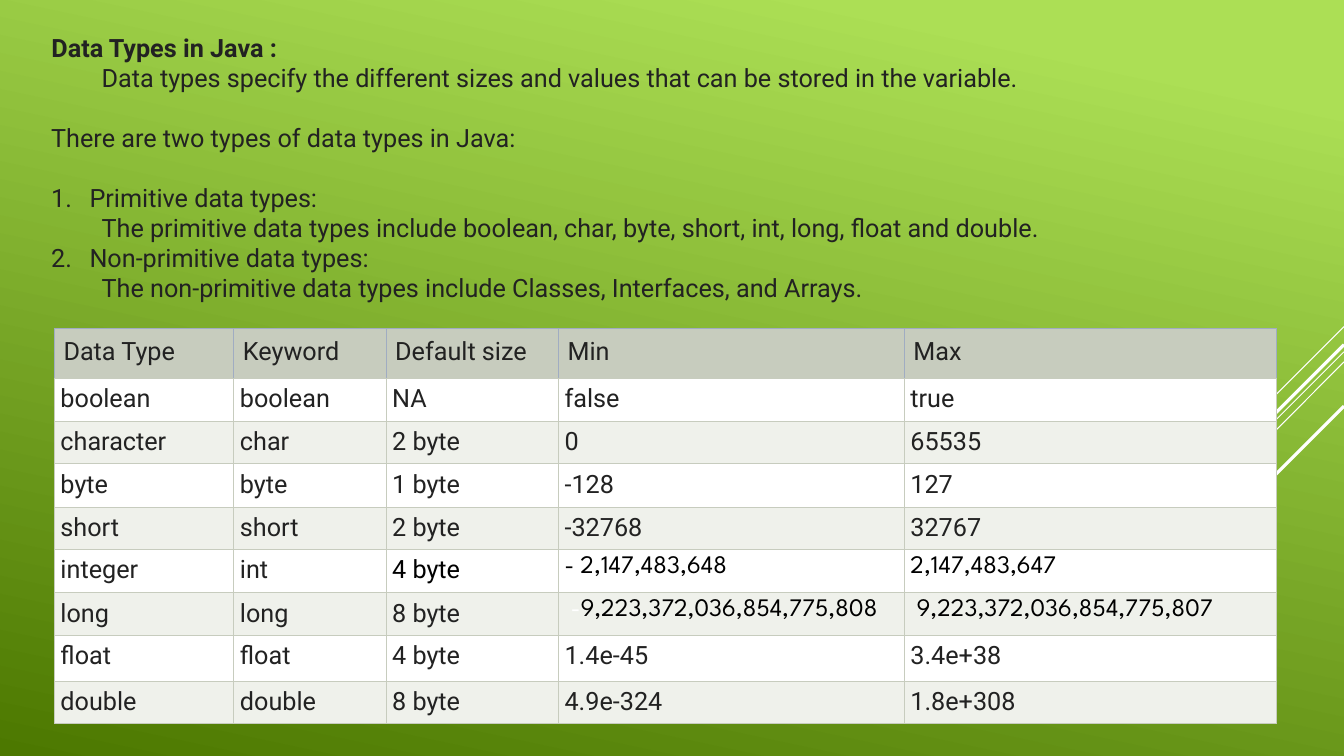
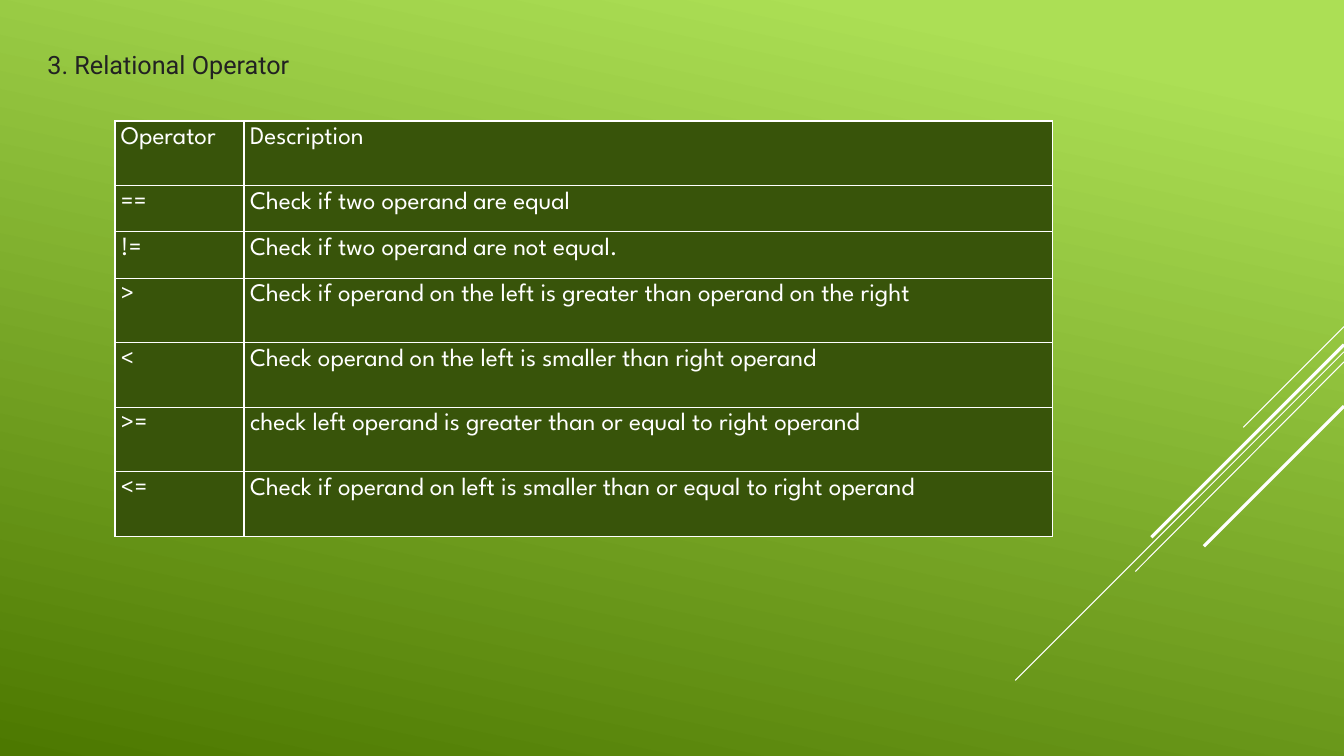
"""Build two slides on Java data types and relational operators."""
from dataclasses import dataclass

from lxml import etree
from pptx import Presentation
from pptx.dml.color import RGBColor
from pptx.enum import text
from pptx.oxml import ns
from pptx.util import Inches, Pt

COLORS = {
    "light": "ACDF55", "dark": "4C7800", "ink": "222222", "black": "000000",
    "white": "FFFFFF", "sage": "C7CCBE", "pale": "EFF1EB", "steel": "A0ACC2",
    "forest": "38540A",
}
BODY_FONT, ACCENT_FONT = "Roboto", "League Spartan"
TEXT_SIZE = 18
BLANK_LINE = 21.1


@dataclass(frozen=True)
class Area:
    left: float
    top: float
    width: float
    height: float

    def lengths(self) -> list:
        return [Inches(n) for n in (self.left, self.top, self.width, self.height)]


@dataclass(frozen=True)
class Ray:
    start_y: float
    end_x: float
    end_y: float
    weight: float = 0.75


@dataclass(frozen=True)
class Span:
    words: str
    color: str = "ink"
    font: str = BODY_FONT


@dataclass(frozen=True)
class Line:
    words: str
    indent: float = 0
    number: int = 0
    gap_before: float = 0


@dataclass(frozen=True)
class RowStyle:
    fill: str
    side: str
    bottom: str
    weight: float = 0.75
    inset: float = 0.06


RAYS = [
    Ray(3.24, 12.33, 4.24), Ray(3.49, 10.07, 6.75), Ray(3.59, 11.26, 5.67),
    Ray(3.42, 11.42, 5.33, 2.25), Ray(4.03, 11.94, 5.42, 2.25),
]
HEADER_ROW = RowStyle("sage", "steel", "sage", inset=0.09)
STRIPES = [RowStyle(fill, "sage", "sage") for fill in ("white", "pale")]
FOREST_ROW = RowStyle("forest", "white", "white", weight=1)

INTRO = [
    Line("Data types specify the different sizes and values that can be stored in the variable.", 0.5),
    Line("There are two types of data types in Java:", gap_before=BLANK_LINE),
    Line("Primitive data types:\u00a0", 0.38, number=1, gap_before=BLANK_LINE),
    Line("The primitive data types include boolean, char, byte, short, int, long, float and double.", 0.5),
    Line("Non-primitive data types:", 0.38, number=2),
    Line("The non-primitive data types include\u00a0Classes,\u00a0Interfaces, and\u00a0Arrays.", 0.5),
]
DATA_TYPES = [
    ["Data Type", "Keyword", "Default size", "Min", "Max"],
    ["boolean", "boolean", "NA", "false", "true"],
    ["character", "char", "2 byte", "0", "65535"],
    ["byte", "byte", "1 byte", "-128", "127"],
    ["short", "short", "2 byte", "-32768", "32767"],
    ["integer", "int", [Span("4 byte", "black")],
     [Span("- 2,147,483,648", "black", ACCENT_FONT)],
     [Span("2,147,483,647", "black", ACCENT_FONT)]],
    ["long", "long", "8 byte",
     [Span("\u00a0-", "white", ACCENT_FONT),
      Span("9,223,372,036,854,775,808", "black", ACCENT_FONT)],
     [Span("\u00a0", "white", ACCENT_FONT),
      Span("9,223,372,036,854,775,807", "black", ACCENT_FONT)]],
    ["float", "float", "4 byte", "1.4e-45", "3.4e+38"],
    ["double", "double", "8 byte", "4.9e-324", "1.8e+308"],
]
OPERATORS = [
    ("Operator", "Description"),
    ("==", "Check if two operand are equal"),
    ("!=", "Check if two operand are not equal."),
    (">", "Check if operand on the left is greater than operand on the right"),
    ("<", "Check operand on the left is smaller than right operand"),
    (">=", "check left operand is greater than or equal to right operand"),
    ("<=", "Check if operand on left is smaller than or equal to right operand"),
]


def rgb(name: str) -> RGBColor:
    """Return a named colour."""
    return RGBColor.from_string(COLORS[name])


def format_run(run, color: str = "ink", font: str = BODY_FONT, bold: bool = False) -> None:
    """Apply the shared text size with a font and colour."""
    run.font.name, run.font.size, run.font.bold = font, Pt(TEXT_SIZE), bold
    run.font.color.rgb = rgb(color)


def paint_background(deck) -> None:
    """Give the slide master its green gradient."""
    fill = deck.slide_master.background.fill
    fill.gradient()
    fill.gradient_angle = 258
    for stop, position, color in zip(fill.gradient_stops, (0.1, 1), ("light", "dark")):
        stop.position = position
        stop.color.rgb = rgb(color)


def draw_ray(page, ray: Ray) -> None:
    """Draw one diagonal line from the right edge."""
    line = page.shapes.add_connector(
        1, Inches(13.33), Inches(ray.start_y), Inches(ray.end_x), Inches(ray.end_y))
    line.line.color.rgb = rgb("white")
    line.line.width = Pt(ray.weight)
    etree.SubElement(line._element.spPr, ns.qn("a:effectLst"))


def add_page(deck, title: str, area: Area, bold: bool = False, spacing: float = 1):
    """Add a titled slide with the diagonal lines."""
    page = deck.slides.add_slide(deck.slide_layouts.get_by_name("Title Only"))
    for ray in RAYS:
        draw_ray(page, ray)
    box = page.shapes.title
    box.left, box.top, box.width, box.height = area.lengths()
    frame = box.text_frame
    frame.text = title
    frame.word_wrap = True
    frame.auto_size = text.MSO_AUTO_SIZE.NONE
    frame.vertical_anchor = text.MSO_ANCHOR.TOP
    para = frame.paragraphs[0]
    para.alignment, para.line_spacing = text.PP_ALIGN.LEFT, spacing
    format_run(para.runs[0], bold=bold)
    return page


def add_lines(page, area: Area, lines: list[Line]) -> None:
    """Add indented and numbered paragraphs in one text box."""
    frame = page.shapes.add_textbox(*area.lengths()).text_frame
    frame.word_wrap = True
    for index, line in enumerate(lines):
        para = frame.add_paragraph() if index else frame.paragraphs[0]
        para.text = line.words
        para.space_before = Pt(line.gap_before)
        format_run(para.runs[0])
        properties = para._p.get_or_add_pPr()
        properties.set("marL", str(Inches(line.indent)))
        if line.number:
            properties.set("indent", str(-Inches(line.indent)))
            etree.SubElement(properties, ns.qn("a:buAutoNum"),
                             type="arabicPeriod", startAt=str(line.number))


def style_cell(cell, style: RowStyle) -> None:
    """Set the borders, fill and insets of a cell."""
    properties = cell._tc.get_or_add_tcPr()
    for edge in "LRTB":
        border = etree.SubElement(properties, ns.qn(f"a:ln{edge}"), w=str(Pt(style.weight)))
        solid = etree.SubElement(border, ns.qn("a:solidFill"))
        color = style.bottom if edge == "B" else style.side
        etree.SubElement(solid, ns.qn("a:srgbClr"), val=COLORS[color])
    cell.fill.solid()
    cell.fill.fore_color.rgb = rgb(style.fill)
    cell.margin_left = cell.margin_right = Inches(style.inset)
    cell.margin_top = cell.margin_bottom = Inches(style.inset)


def add_grid(page, area: Area, widths: list[float], heights: list[float],
             rows: list, styles: list[RowStyle], color: str, font: str) -> None:
    """Add a table whose plain cells share one font and colour."""
    table = page.shapes.add_table(len(rows), len(widths), *area.lengths()).table
    table.first_row = table.horz_banding = False
    for column, width in zip(table.columns, widths):
        column.width = Inches(width)
    for row, height, values, style in zip(table.rows, heights, rows, styles):
        row.height = Inches(height)
        for cell, value in zip(row.cells, values):
            style_cell(cell, style)
            spans = [Span(value, color, font)] if isinstance(value, str) else value
            for span in spans:
                run = cell.text_frame.paragraphs[0].add_run()
                run.text = span.words
                format_run(run, span.color, span.font)


def build_data_types(deck) -> None:
    """Build the slide on data types."""
    page = add_page(deck, "Data Types in Java :", Area(0.41, 0.27, 2.6, 0.4), bold=True)
    add_lines(page, Area(0.41, 0.57, 10.19, 2.83), INTRO)
    add_grid(page, Area(0.54, 3.26, 12.12, 3.92), [1.78, 1.51, 1.71, 3.43, 3.69],
             [0.49] + [0.43, 0.42] * 3 + [0.46, 0.42], DATA_TYPES,
             [HEADER_ROW] + STRIPES * 4, "ink", BODY_FONT)


def build_operators(deck) -> None:
    """Build the slide on relational operators."""
    page = add_page(deck, "3. Relational Operator", Area(0.37, 0.29, 2.67, 0.56), spacing=1.5)
    add_grid(page, Area(1.14, 1.2, 9.3, 4.13), [1.28, 8.02],
             [0.64] + [0.46] * 2 + [0.64] * 4, OPERATORS,
             [FOREST_ROW] * len(OPERATORS), "white", ACCENT_FONT)


def main() -> None:
    """Build and save the deck."""
    deck = Presentation()
    deck.slide_width, deck.slide_height = Inches(13.33), Inches(7.5)
    paint_background(deck)
    build_data_types(deck)
    build_operators(deck)
    deck.save("out.pptx")


main()
